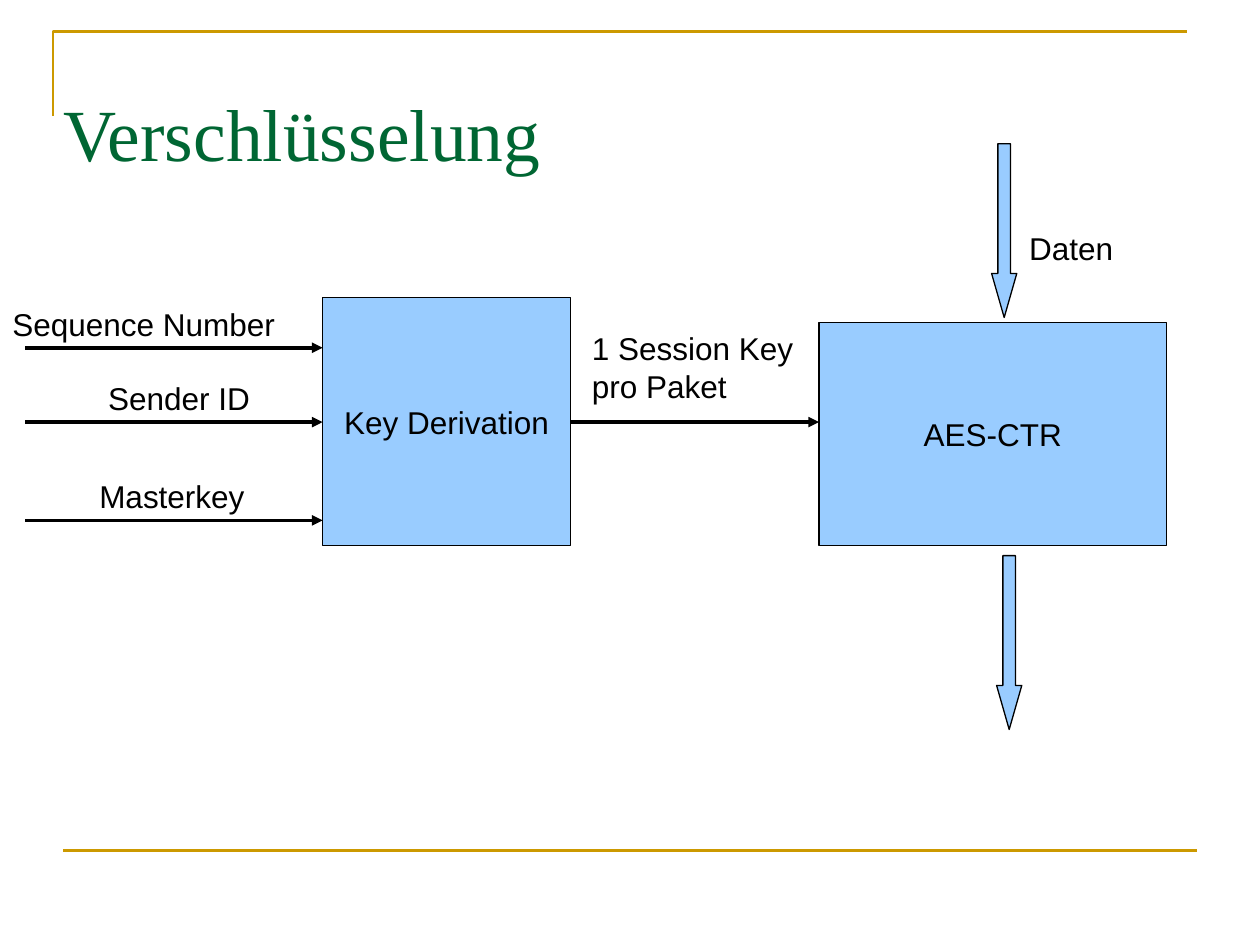
from lxml.etree import SubElement
from pptx import Presentation
from pptx.dml.color import RGBColor
from pptx.enum.shapes import MSO_CONNECTOR, MSO_SHAPE
from pptx.enum.text import MSO_ANCHOR, MSO_AUTO_SIZE, PP_ALIGN
from pptx.oxml.ns import qn
from pptx.util import Inches, Pt

GOLD = RGBColor(0xCC, 0x99, 0x00)
GREEN = RGBColor(0x00, 0x66, 0x33)
BLUE = RGBColor(0x99, 0xCC, 0xFF)
BLACK = RGBColor(0x00, 0x00, 0x00)

TITLE = "Verschlüsselung"
CORNER = [(0.42, 0.92), (0.42, 0.25), (9.42, 0.25)]
FOOT_RULE = (0.5, 9.5, 6.75)
DERIVATION = ("Key Derivation", 2.56, 2.36, 1.97, 1.97)
CIPHER = ("AES-CTR", 6.5, 2.56, 2.76, 1.77)
INPUT_LEFT = 0.2
INPUTS = [("Sequence Number", 0, 2.46, 2.76),
          ("Sender ID", 0.76, 1.4, 3.35),
          ("Masterkey", 0.69, 1.47, 4.13)]
LABEL_HEIGHT = 0.39
OTHER_LABELS = [(["1 Session Key", "pro Paket"], 4.6, 2.56, 1.9, 0.68),
                (["Daten"], 8.07, 1.77, 0.94, LABEL_HEIGHT)]
KEY_LINE_Y = 3.35
DATA_ARROWS = [(7.87, 1.14), (7.91, 4.41)]
ARROW_SIZE = (0.2, 1.38)

BODY_FONT = {"name": "Arial", "size": Pt(18)}
TITLE_FONT = {"name": "Times New Roman", "size": Pt(42)}


def format_text(frame, lines, font, color, align, **settings):
    for name, value in settings.items():
        setattr(frame, name, value)
    for index, line in enumerate(lines):
        para = frame.add_paragraph() if index else frame.paragraphs[0]
        para.alignment = align
        span = para.add_run()
        span.text = line
        for name, value in font.items():
            setattr(span.font, name, value)
        span.font.color.rgb = color


def add_line(page, left, right, y, color, width, arrow=False):
    line = page.shapes.add_connector(
        MSO_CONNECTOR.STRAIGHT, Inches(left), Inches(y), Inches(right), Inches(y))
    line.line.color.rgb = color
    line.line.width = Pt(width)
    if arrow:
        SubElement(line.line._get_or_add_ln(), qn("a:tailEnd"), type="triangle")
    SubElement(line._element.spPr, qn("a:effectLst"))


def add_blue(page, kind, *place):
    shape = page.shapes.add_shape(kind, *map(Inches, place))
    shape.shadow.inherit = False
    shape.fill.solid()
    shape.fill.fore_color.rgb = BLUE
    shape.line.color.rgb = BLACK
    shape.line.width = Pt(0)
    return shape


def add_label(page, lines, *place):
    box = page.shapes.add_textbox(*map(Inches, place))
    format_text(box.text_frame, lines, BODY_FONT, BLACK, PP_ALIGN.LEFT,
                word_wrap=False, auto_size=MSO_AUTO_SIZE.SHAPE_TO_FIT_TEXT)


def add_frame(page):
    start, *rest = [(Inches(x), Inches(y)) for x, y in CORNER]
    builder = page.shapes.build_freeform(*start)
    builder.add_line_segments(rest, close=False)
    corner = builder.convert_to_shape()
    corner.shadow.inherit = False
    corner.fill.background()
    corner.line.color.rgb = GOLD
    corner.line.width = Pt(1.5)
    add_line(page, *FOOT_RULE, GOLD, 1.5)


def add_title(page):
    title = page.shapes.title
    place = {"left": 0.5, "top": 0.35, "width": 9, "height": 1.4}
    for name, value in place.items():
        setattr(title, name, Inches(value))
    format_text(title.text_frame, [TITLE], TITLE_FONT, GREEN, PP_ALIGN.LEFT,
                vertical_anchor=MSO_ANCHOR.MIDDLE, auto_size=MSO_AUTO_SIZE.NONE,
                margin_left=0, margin_right=0, margin_top=0, margin_bottom=0)


def add_diagram(page):
    for text, *place in (DERIVATION, CIPHER):
        block = add_blue(page, MSO_SHAPE.RECTANGLE, *place)
        format_text(block.text_frame, [text], BODY_FONT, BLACK, PP_ALIGN.CENTER,
                    vertical_anchor=MSO_ANCHOR.MIDDLE)
    block_left, block_width = DERIVATION[1], DERIVATION[3]
    for text, left, width, y in INPUTS:
        add_line(page, INPUT_LEFT, block_left, y, BLACK, 0, arrow=True)
        add_label(page, [text], left, y - LABEL_HEIGHT, width, LABEL_HEIGHT)
    add_line(page, block_left + block_width, CIPHER[1], KEY_LINE_Y, BLACK, 0, arrow=True)
    for lines, *place in OTHER_LABELS:
        add_label(page, lines, *place)
    for place in DATA_ARROWS:
        arrow = add_blue(page, MSO_SHAPE.DOWN_ARROW, *place, *ARROW_SIZE)
        arrow.adjustments[0] = 0.5
        arrow.adjustments[1] = 1.75


def main():
    deck = Presentation()
    deck.slide_width, deck.slide_height = Inches(10), Inches(7.5)
    page = deck.slides.add_slide(deck.slide_layouts[5])
    add_frame(page)
    add_title(page)
    add_diagram(page)
    deck.save("out.pptx")


if __name__ == "__main__":
    main()
